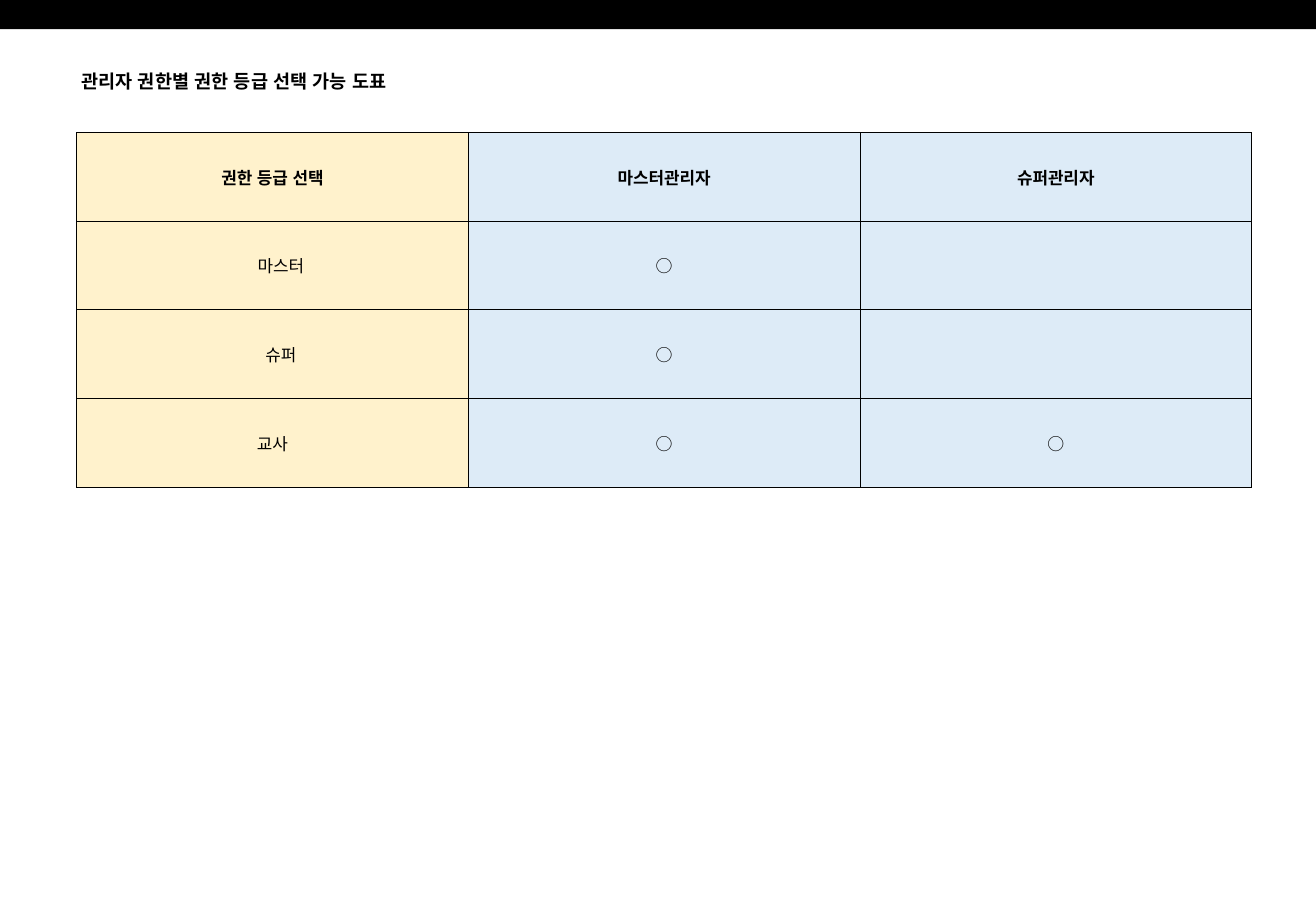
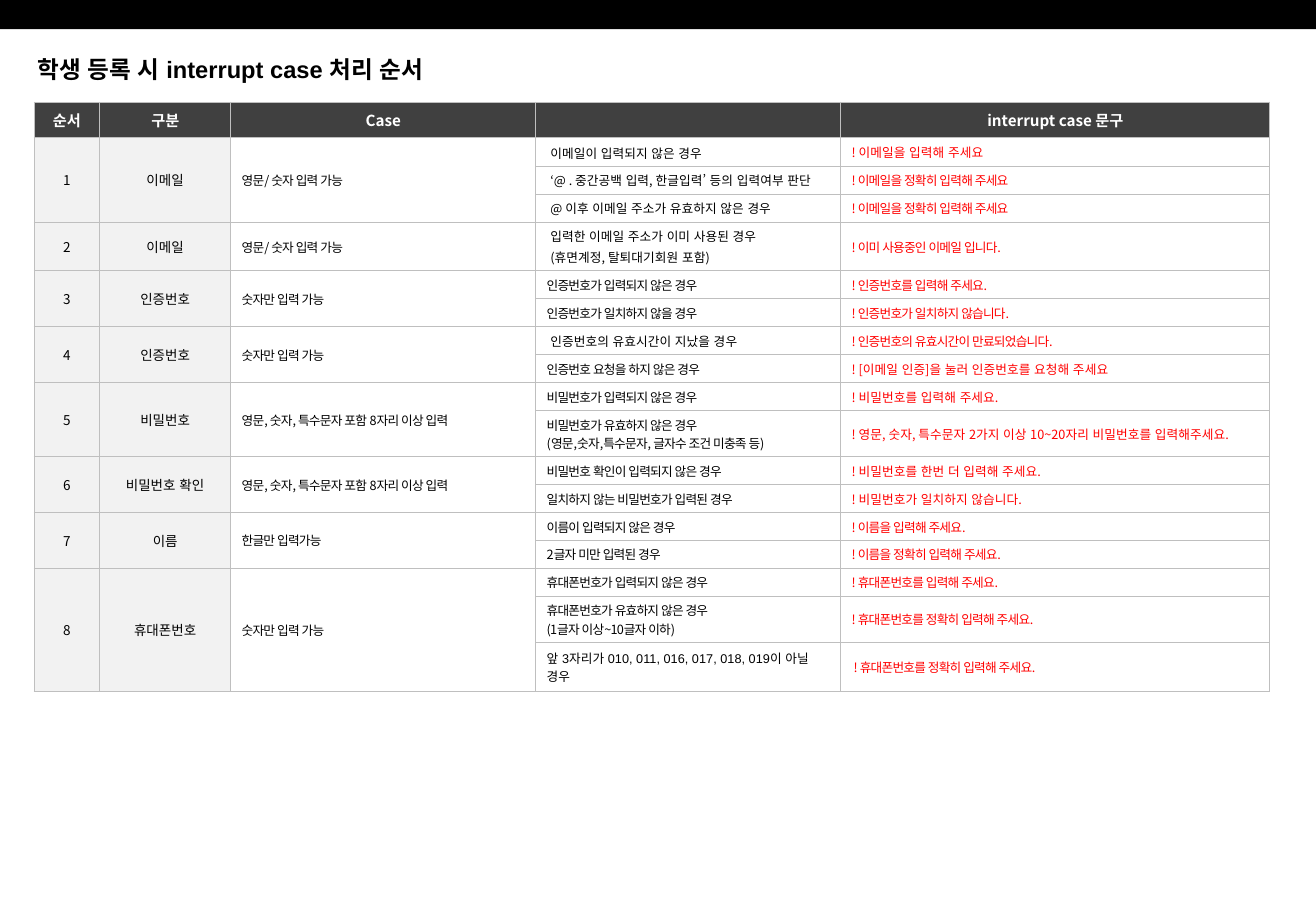
import pptx
import pptx.dml.color
import pptx.enum.shapes
import pptx.enum.text
import pptx.oxml
import pptx.oxml.ns
import pptx.util
from lxml import etree

RGB = pptx.dml.color.RGBColor
ALIGN = pptx.enum.text.PP_ALIGN
Inches = pptx.util.Inches
qn = pptx.oxml.ns.qn

BLACK = RGB(0x00, 0x00, 0x00)
WHITE = RGB(0xFF, 0xFF, 0xFF)
RED = RGB(0xFF, 0x00, 0x00)
CREAM = RGB(0xFF, 0xF2, 0xCC)
PALE_BLUE = RGB(0xDD, 0xEB, 0xF7)
CHARCOAL = RGB(0x40, 0x40, 0x40)
PALE_GRAY = RGB(0xF2, 0xF2, 0xF2)
GRID_GRAY = RGB(0xBF, 0xBF, 0xBF)
KOREAN = "Noto Sans CJK KR"
LATIN = "Arial"
WIDTH, HEIGHT = 10.83, 7.5
BAND_HEIGHT = 0.24

GRADE_TITLE = "관리자 권한별 권한 등급 선택 가능 도표"
GRADES = [
    ("권한 등급 선택", "마스터관리자", "슈퍼관리자"),
    ("　마스터", "○", ""),
    ("　슈퍼", "○", ""),
    ("교사", "○", "○"),
]

CASE_TITLE = "학생 등록 시 interrupt case 처리 순서"
CASE_HEADER = ("순서", "구분", "Case", "", "interrupt case 문구")
CASE_COLUMNS = (0.54, 1.08, 2.51, 2.51, 3.53)
HEADER_ROW, FIRST_ROW, LINE_ROW = 0.29, 0.24, 0.23
TWO_LINE_ROWS = {"indented": 0.4, "tight": 0.38, "latin": 0.4}
LOOSE, TIGHT = 0, -0.5
CONDITION_STYLES = {
    "indented": dict(inset=0.12, inset_right=0.04, tracking=LOOSE, gap=1.5),
    "tight": dict(inset=0.09, tracking=TIGHT),
    "latin": dict(inset=0.09, tracking=LOOSE, font=LATIN),
}
CASES = [
    ("이메일", "영문/ 숫자 입력 가능", [
        ("이메일이 입력되지 않은 경우", "indented", "! 이메일을 입력해 주세요", LOOSE),
        ("‘@ . 중간공백 입력, 한글입력’ 등의 입력여부 판단", "indented",
         "! 이메일을 정확히 입력해 주세요", TIGHT),
        ("@ 이후 이메일 주소가 유효하지 않은 경우", "indented",
         "! 이메일을 정확히 입력해 주세요", TIGHT),
    ]),
    ("이메일", "영문/ 숫자 입력 가능", [
        ("입력한 이메일 주소가 이미 사용된 경우\n(휴면계정, 탈퇴대기회원 포함)", "indented",
         "! 이미 사용중인 이메일 입니다.", TIGHT),
    ]),
    ("인증번호", "숫자만 입력 가능", [
        ("인증번호가 입력되지 않은 경우", "tight", "! 인증번호를 입력해 주세요.", TIGHT),
        ("인증번호가 일치하지 않을 경우", "tight", "! 인증번호가 일치하지 않습니다.", TIGHT),
    ]),
    ("인증번호", "숫자만 입력 가능", [
        ("인증번호의 유효시간이 지났을 경우", "indented",
         "! 인증번호의 유효시간이 만료되었습니다.", TIGHT),
        ("인증번호 요청을 하지 않은 경우", "tight",
         "! [이메일 인증]을 눌러 인증번호를 요청해 주세요", LOOSE),
    ]),
    ("비밀번호", "영문, 숫자, 특수문자 포함 8자리 이상 입력", [
        ("비밀번호가 입력되지 않은 경우", "tight", "! 비밀번호를 입력해 주세요.", LOOSE),
        ("비밀번호가 유효하지 않은 경우\n(영문,숫자,특수문자, 글자수 조건 미충족 등)", "tight",
         "! 영문, 숫자, 특수문자 2가지 이상 10~20자리 비밀번호를 입력해주세요.", LOOSE),
    ]),
    ("비밀번호 확인", "영문, 숫자, 특수문자 포함 8자리 이상 입력", [
        ("비밀번호 확인이 입력되지 않은 경우", "tight",
         "! 비밀번호를 한번 더 입력해 주세요.", LOOSE),
        ("일치하지 않는 비밀번호가 입력된 경우", "tight",
         "! 비밀번호가 일치하지 않습니다.", LOOSE),
    ]),
    ("이름", "한글만 입력가능", [
        ("이름이 입력되지 않은 경우", "tight", "! 이름을 입력해 주세요.", TIGHT),
        ("2글자 미만 입력된 경우", "tight", "! 이름을 정확히 입력해 주세요.", TIGHT),
    ]),
    ("휴대폰번호", "숫자만 입력 가능", [
        ("휴대폰번호가 입력되지 않은 경우", "tight", "! 휴대폰번호를 입력해 주세요.", TIGHT),
        ("휴대폰번호가 유효하지 않은 경우\n(1글자 이상~10글자 이하)", "tight",
         "! 휴대폰번호를 정확히 입력해 주세요.", TIGHT),
        ("앞 3자리가 010, 011, 016, 017, 018, 019이 아닐 경우", "latin",
         " ! 휴대폰번호를 정확히 입력해 주세요.", TIGHT),
    ]),
]


def write(frame, text, size=7.5, bold=False, color=BLACK, font=KOREAN,
          align=ALIGN.LEFT, tracking=0, gap=0):
    for index, line in enumerate(text.split("\n")):
        paragraph = frame.paragraphs[0] if index == 0 else frame.add_paragraph()
        paragraph.alignment = align
        if index and gap:
            paragraph.space_before = pptx.util.Pt(gap)
        if not line:
            end = etree.SubElement(paragraph._p, qn("a:endParaRPr"))
            end.set("sz", str(int(size * 100)))
            continue
        run = paragraph.add_run()
        run.text = line
        run.font.size = pptx.util.Pt(size)
        run.font.bold = bold
        run.font.color.rgb = color
        run.font.name = font
        properties = run.font._element
        properties.set("lang", "ko-KR")
        properties.set("altLang", "en-US")
        properties.set("kern", "0")
        properties.set("spc", str(int(tracking * 100)))
        etree.SubElement(properties, qn("a:ea")).set("typeface", KOREAN)


def set_insets(target, across, down):
    target.margin_left = target.margin_right = Inches(across)
    target.margin_top = target.margin_bottom = Inches(down)


def fill_cell(cell, text, fill, inset=0.1, inset_down=0.04, inset_right=None,
              **style):
    cell.fill.solid()
    cell.fill.fore_color.rgb = fill
    cell.vertical_anchor = pptx.enum.text.MSO_ANCHOR.MIDDLE
    set_insets(cell, inset, inset_down)
    if inset_right is not None:
        cell.margin_right = Inches(inset_right)
    write(cell.text_frame, text, **style)


def draw_borders(table, color):
    for cell in table.iter_cells():
        properties = cell._tc.get_or_add_tcPr()
        for position, side in enumerate(("lnL", "lnR", "lnT", "lnB")):
            border = etree.Element(qn(f"a:{side}"), w="6350")
            paint = etree.SubElement(border, qn("a:solidFill"))
            etree.SubElement(paint, qn("a:srgbClr")).set("val", str(color))
            properties.insert(position, border)


def add_grid(slide, left, top, columns, rows):
    table = slide.shapes.add_table(
        len(rows), len(columns), Inches(left), Inches(top),
        Inches(sum(columns)), Inches(sum(rows))).table
    table.first_row = table.horz_banding = False
    for column, width in zip(table.columns, columns):
        column.width = Inches(width)
    for row, height in zip(table.rows, rows):
        row.height = Inches(height)
    return table


def add_title(slide, text, box, size, insets):
    frame = slide.shapes.add_textbox(*map(Inches, box)).text_frame
    frame.word_wrap = True
    set_insets(frame, *insets)
    write(frame, text, size=size, bold=True, font=LATIN)


def add_master_band(deck, slide):
    band = slide.shapes.add_shape(
        pptx.enum.shapes.MSO_SHAPE.RECTANGLE, 0, 0,
        deck.slide_width, Inches(BAND_HEIGHT))
    band.shadow.inherit = False
    band.fill.solid()
    band.fill.fore_color.rgb = BLACK
    band.line.fill.background()
    band.element.nvSpPr.cNvPr.set("id", "20")
    deck.slide_master.shapes.element.append(band.element)


def build_grades(slide):
    table = add_grid(slide, 0.63, 1.09, [9.67 / 3] * 3, [0.73] * len(GRADES))
    for r, labels in enumerate(GRADES):
        for c, label in enumerate(labels):
            fill_cell(table.cell(r, c), label, PALE_BLUE if c else CREAM,
                      inset=0, inset_down=0, size=10, bold=r == 0,
                      align=ALIGN.CENTER)
    draw_borders(table, BLACK)
    add_title(slide, GRADE_TITLE, (0.63, 0.54, 4.27, 0.26), 11, (0.04, 0.04))


def row_height(condition, kind):
    two_lines = "\n" in condition or kind == "latin"
    return TWO_LINE_ROWS[kind] if two_lines else LINE_ROW


def build_cases(slide):
    checks = [check for case in CASES for check in case[2]]
    heights = [HEADER_ROW, FIRST_ROW]
    heights += [row_height(*check[:2]) for check in checks[1:]]
    table = add_grid(slide, 0.28, 0.84, CASE_COLUMNS, heights)
    for c, label in enumerate(CASE_HEADER):
        fill_cell(table.cell(0, c), label, CHARCOAL, inset_down=0.05, size=9,
                  bold=True, color=WHITE, align=ALIGN.CENTER)
    first = 1
    for number, (field, rule, group) in enumerate(CASES, 1):
        last = first + len(group) - 1
        for r, (condition, kind, message, tracking) in enumerate(group, first):
            lead = r == first
            fill_cell(table.cell(r, 0), str(number) if lead else "", PALE_GRAY,
                      inset=0.04, size=8, align=ALIGN.CENTER)
            fill_cell(table.cell(r, 1), field if lead else "", PALE_GRAY,
                      size=8, align=ALIGN.CENTER)
            fill_cell(table.cell(r, 2), rule if lead else "", WHITE,
                      inset=0.09, tracking=TIGHT)
            fill_cell(table.cell(r, 3), condition, WHITE,
                      inset_down=0.05 if r == 1 else 0.04,
                      **CONDITION_STYLES[kind])
            fill_cell(table.cell(r, 4), message, WHITE, inset=0.09,
                      inset_right=0.2, color=RED, tracking=tracking)
        if last > first:
            for c in range(3):
                table.cell(first, c).merge(table.cell(last, c))
        first = last + 1
    draw_borders(table, GRID_GRAY)
    add_title(slide, CASE_TITLE, (0.21, 0.4, 6.69, 0.34), 14, (0.1, 0.05))


def main():
    deck = pptx.Presentation()
    deck.slide_width, deck.slide_height = Inches(WIDTH), Inches(HEIGHT)
    blank = deck.slide_layouts[6]
    grades, cases = (deck.slides.add_slide(blank) for _ in range(2))
    add_master_band(deck, grades)
    build_grades(grades)
    build_cases(cases)
    deck.save("out.pptx")


if __name__ == "__main__":
    main()
